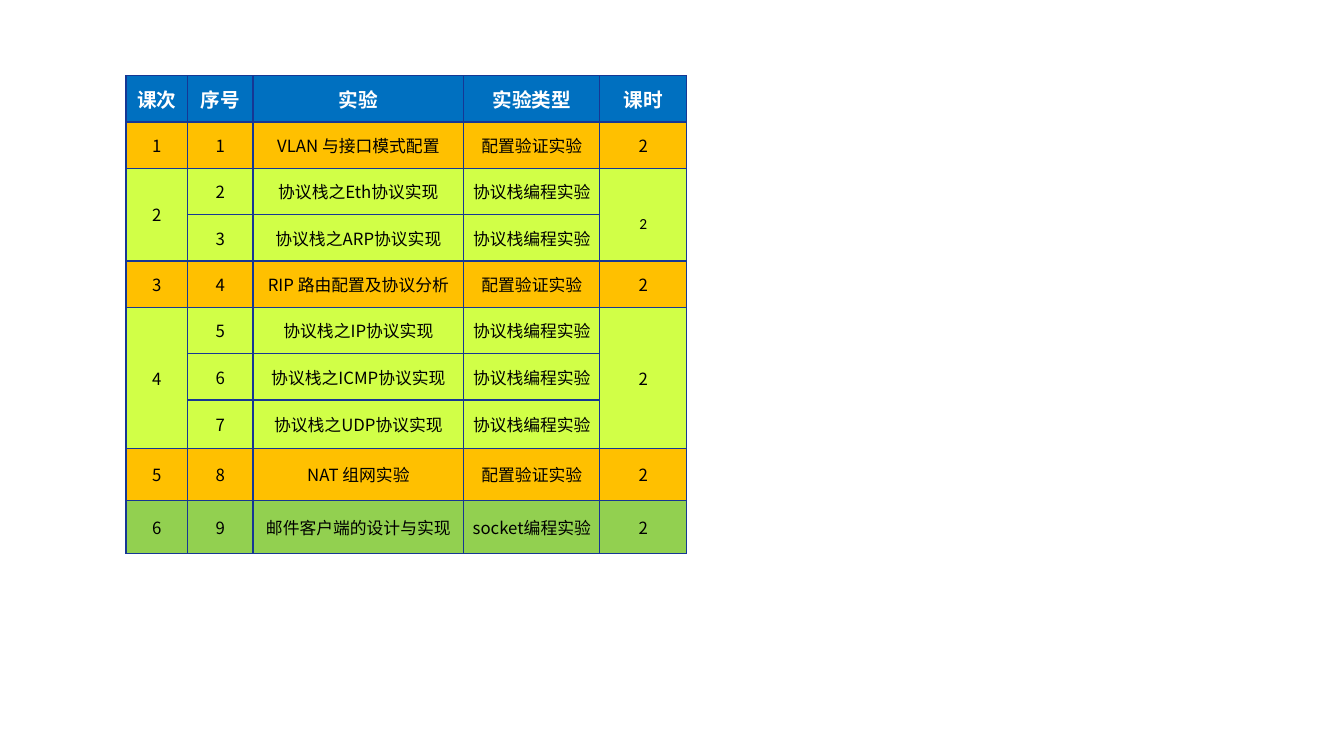
from lxml import etree
from pptx import Presentation
from pptx import util as u
from pptx.dml.color import RGBColor
from pptx.enum import text
from pptx.oxml.ns import qn

CJK_FONT = "Noto Sans CJK SC"
BORDER = "163794"
HEADER_FILL = "0070C0"
CONFIG, STACK, SOCKET = "配置验证实验", "协议栈编程实验", "socket编程实验"
TYPE_FILLS = {CONFIG: "FFC000", STACK: "D1FF47", SOCKET: "92D050"}

HEADINGS = ["课次", "序号", "实验", "实验类型", "课时"]
# Each lesson: type of experiment, its experiments, format of its hours
LESSONS = [
    (CONFIG, ["VLAN 与接口模式配置"], {}),
    (STACK, ["协议栈之Eth协议实现", "协议栈之ARP协议实现"],
     {"size": 11, "font": "Calibri", "spacing": 2}),
    (CONFIG, ["RIP 路由配置及协议分析"], {}),
    (STACK, ["协议栈之IP协议实现", "协议栈之ICMP协议实现", "协议栈之UDP协议实现"], {}),
    (CONFIG, ["NAT 组网实验"], {}),
    (SOCKET, ["邮件客户端的设计与实现"], {}),
]
HOURS = "2"
COLUMN_WIDTHS = [0.61, 0.65, 2.09, 1.35, 0.86]
ROW_HEIGHTS = [0.46] * 7 + [0.48] + [0.52] * 2


def rgb(hex_color):
    return RGBColor.from_string(hex_color)


def write(cell, content, size=12, font=CJK_FONT, color="000000", bold=False, spacing=None):
    cell.vertical_anchor = text.MSO_ANCHOR.MIDDLE
    paragraph = cell.text_frame.paragraphs[0]
    paragraph.alignment = text.PP_ALIGN.CENTER
    if spacing:
        paragraph.line_spacing = spacing
    run = paragraph.add_run()
    run.text = content
    run.font.size = u.Pt(size)
    run.font.name = font
    run.font.bold = bold
    run.font.color.rgb = rgb(color)
    east_asian = etree.SubElement(run.font._element, qn("a:ea"))
    east_asian.set("typeface", CJK_FONT)


def dress(cell, fill):
    """Give the cell its margins, fill and four borders."""
    cell.margin_left = cell.margin_right = u.Inches(0.07)
    cell.margin_top = cell.margin_bottom = 0
    cell.fill.solid()
    cell.fill.fore_color.rgb = rgb(fill)
    properties = cell._tc.get_or_add_tcPr()
    for position, side in enumerate(("L", "R", "T", "B")):
        line = etree.Element(qn(f"a:ln{side}"), w=str(u.Pt(1)))
        solid = etree.SubElement(line, qn("a:solidFill"))
        etree.SubElement(solid, qn("a:srgbClr"), val=BORDER)
        properties.insert(position, line)


def add_lesson(schedule, top, number, lesson):
    """Fill the rows of one lesson and return the row below it."""
    kind, experiments, hours_format = lesson
    bottom = top + len(experiments) - 1
    for row, experiment in enumerate(experiments, top):
        for column in range(len(HEADINGS)):
            dress(schedule.cell(row, column), TYPE_FILLS[kind])
        for column, content in enumerate((str(row), experiment, kind), 1):
            write(schedule.cell(row, column), content)
    last = len(HEADINGS) - 1
    if bottom > top:
        for column in (0, last):
            schedule.cell(top, column).merge(schedule.cell(bottom, column))
    write(schedule.cell(top, 0), str(number))
    write(schedule.cell(top, last), HOURS, **hours_format)
    return bottom + 1


def add_schedule(slide, left, top):
    schedule = slide.shapes.add_table(
        len(ROW_HEIGHTS), len(COLUMN_WIDTHS), u.Inches(left), u.Inches(top),
        u.Inches(sum(COLUMN_WIDTHS)), u.Inches(sum(ROW_HEIGHTS))).table
    schedule.horz_banding = False
    for column, width in zip(schedule.columns, COLUMN_WIDTHS):
        column.width = u.Inches(width)
    for row, height in zip(schedule.rows, ROW_HEIGHTS):
        row.height = u.Inches(height)
    for column, heading in enumerate(HEADINGS):
        dress(schedule.cell(0, column), HEADER_FILL)
        write(schedule.cell(0, column), heading, size=14, font="Arial",
              color="FFFFFF", bold=True)
    next_row = 1
    for number, lesson in enumerate(LESSONS, 1):
        next_row = add_lesson(schedule, next_row, number, lesson)


def main():
    deck = Presentation()
    deck.slide_width, deck.slide_height = u.Inches(13.33), u.Inches(7.5)
    blank_layout = deck.slide_layouts[6]
    add_schedule(deck.slides.add_slide(blank_layout), 1.25, 0.75)
    deck.save("out.pptx")


if __name__ == "__main__":
    main()
